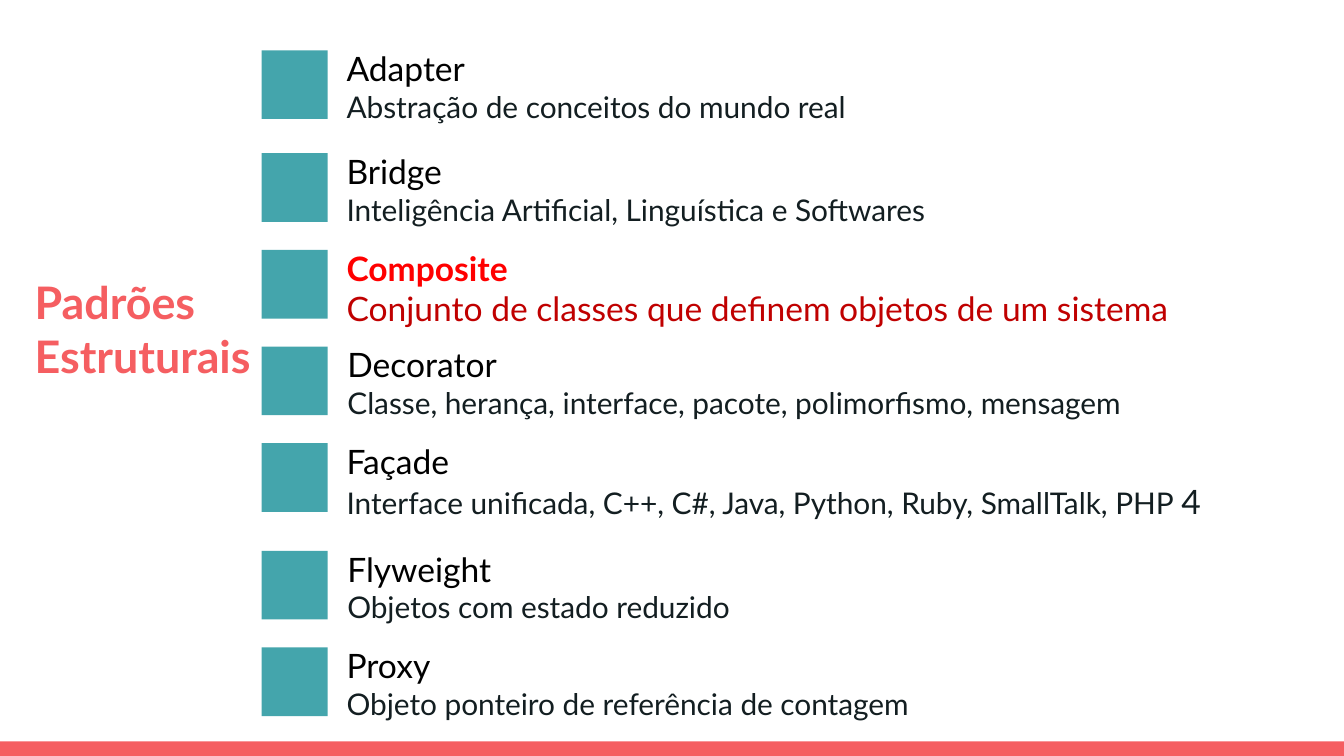
from dataclasses import dataclass

from pptx import Presentation
from pptx.dml.color import RGBColor
from pptx.enum.shapes import MSO_SHAPE as Shape
from pptx.enum.text import MSO_ANCHOR as Anchor, PP_ALIGN as Align
from pptx.util import Pt

FONT = "Lato"
CORAL, TEAL = "F55E61", "44A5AC"
BLACK, INK = "000000", "131E21"
RED, DARK_RED = "FF0000", "C00000"


@dataclass
class Pattern:
    name: str
    detail: str
    left: float
    width: float
    gap_above: float = 0
    tail: str = ""
    highlighted: bool = False


PATTERNS = [
    Pattern("Adapter", "Abstração de conceitos do mundo real", 178.6, 380),
    Pattern("Bridge", "Inteligência Artificial, Linguística e Softwares",
            178.6, 380, gap_above=3.3),
    Pattern("Composite", "Conjunto de classes que definem objetos de um sistema",
            178.6, 493, highlighted=True),
    Pattern("Decorator", "Classe, herança, interface, pacote, polimorfismo, mensagem",
            179, 519),
    Pattern("Façade", "Interface unificada, C++, C#, Java, Python, Ruby, SmallTalk, PHP ",
            178.6, 541.4, tail="4"),
    Pattern("Flyweight", "Objetos com estado reduzido", 179, 492.5, gap_above=5.8),
    Pattern("Proxy", "Objeto ponteiro de referência de contagem", 178.6, 529),
]
FIRST_TOP, PITCH, TEXT_HEIGHT = 22.2, 51.8, 52.6
MARKER_LEFT, MARKER_DROP = 140.2, 4.8
MARKER_WIDTH, MARKER_HEIGHT = 35.4, 36.8


def color(value: str) -> RGBColor:
    return RGBColor.from_string(value)


def format_span(span, size: float, shade: str, bold: bool = False) -> None:
    span.font.name = FONT
    span.font.size = Pt(size)
    span.font.bold = bold
    span.font.color.rgb = color(shade)


def add_block(page, left: float, top: float, width: float, height: float, shade: str) -> None:
    block = page.shapes.add_shape(Shape.RECTANGLE, Pt(left), Pt(top), Pt(width), Pt(height))
    block.shadow.inherit = False
    block.fill.solid()
    block.fill.fore_color.rgb = color(shade)
    block.line.fill.background()


def add_text(page, left: float, top: float, width: float, height: float,
             text: str, inset: float = 3.6):
    box = page.shapes.add_textbox(Pt(left), Pt(top), Pt(width), Pt(height))
    frame = box.text_frame
    frame.word_wrap = True
    frame.vertical_anchor = Anchor.TOP
    frame.margin_left = frame.margin_right = Pt(7.2)
    frame.margin_top = frame.margin_bottom = Pt(inset)
    para = frame.paragraphs[0]
    para.text = text
    para.alignment = Align.LEFT
    return para


def add_pattern(page, pattern: Pattern, top: float) -> None:
    add_block(page, MARKER_LEFT, top + MARKER_DROP, MARKER_WIDTH, MARKER_HEIGHT, TEAL)
    para = add_text(page, pattern.left, top, pattern.width, TEXT_HEIGHT,
                    f"{pattern.name}\v{pattern.detail}")
    name, detail = para.runs
    if pattern.highlighted:
        format_span(name, 18, RED, bold=True)
        format_span(detail, 18, DARK_RED)
    else:
        format_span(name, 18, BLACK)
        format_span(detail, 16, INK)
    if pattern.tail:
        tail = para.add_run()
        tail.text = pattern.tail
        format_span(tail, 18, INK)


def main() -> None:
    deck = Presentation()
    deck.slide_width, deck.slide_height = Pt(720), Pt(405)
    page = deck.slides.add_slide(deck.slide_layouts[6])

    # Footer band
    add_block(page, 0, 397.2, 720, 7.8, CORAL)

    # Title
    title = add_text(page, 11.5, 139.9, 134.6, 94.3, "Padrões Estruturais", inset=7.2)
    format_span(title.runs[0], 24, CORAL, bold=True)

    # Pattern list
    top = FIRST_TOP
    for pattern in PATTERNS:
        top += pattern.gap_above
        add_pattern(page, pattern, top)
        top += PITCH

    deck.save("out.pptx")


if __name__ == "__main__":
    main()
